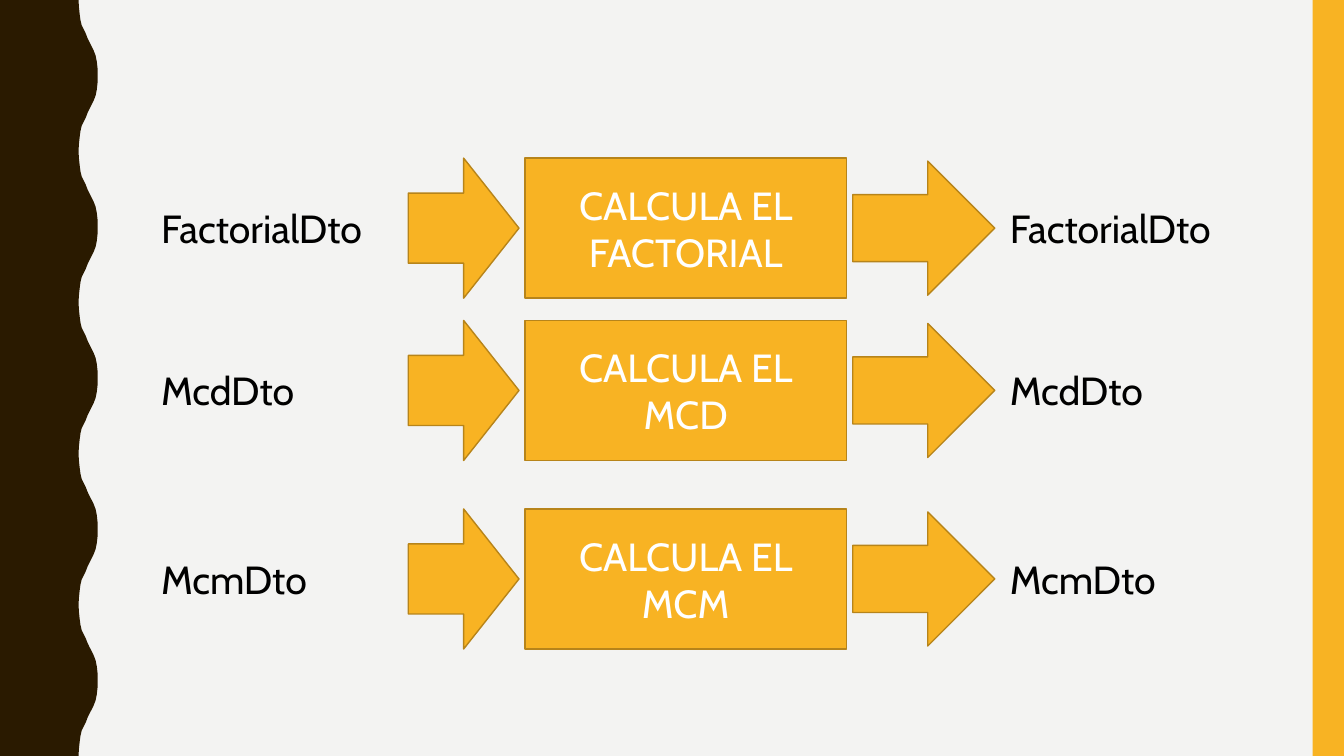
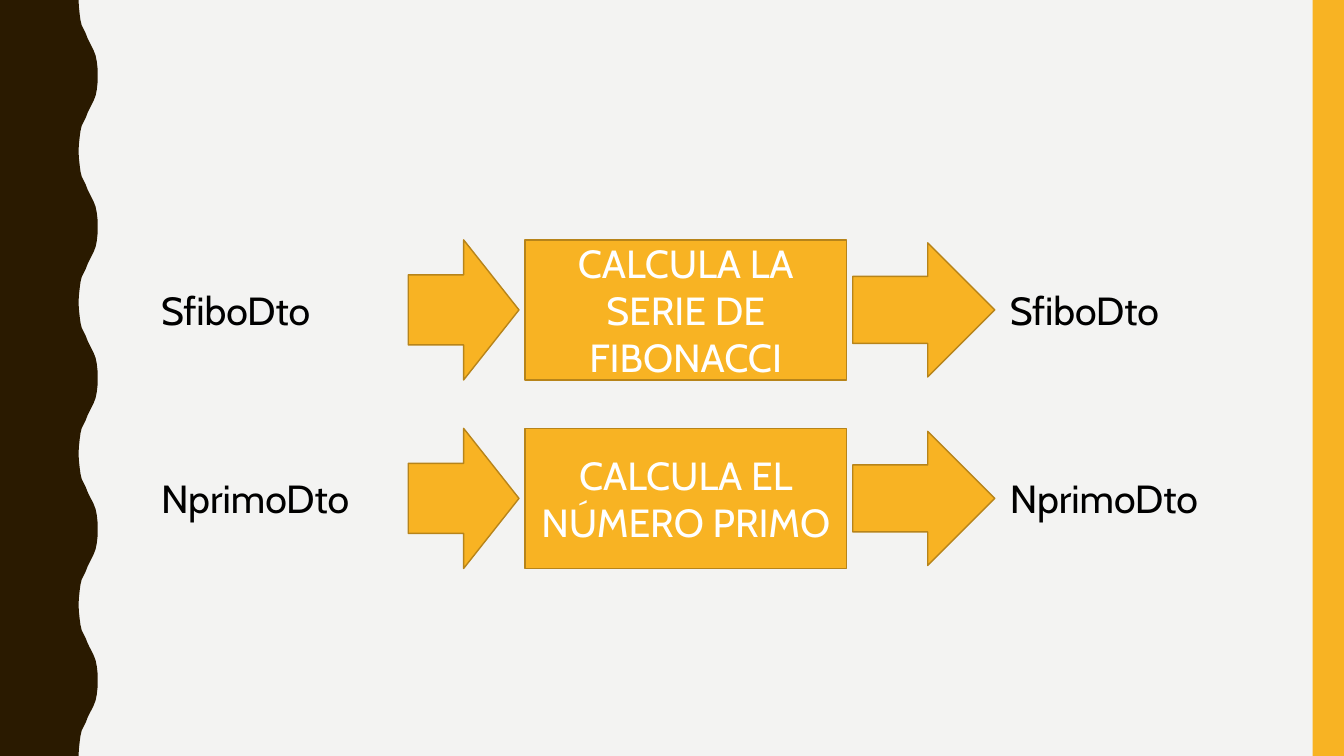
from dataclasses import dataclass

from pptx import Presentation
from pptx.dml.color import RGBColor
from pptx.enum.shapes import MSO_SHAPE as Kind
from pptx.enum.text import MSO_ANCHOR as Anchor, MSO_AUTO_SIZE as Fit, PP_ALIGN as Align
from pptx.shapes.autoshape import Shape
from pptx.slide import Slide
from pptx.util import Cm, Pt

HUES = {
    "paper": "F3F3F2",
    "dark": "2A1A00",
    "gold": "F8B323",
    "edge": "B7841A",
    "black": "000000",
    "white": "FFFFFF",
}
FONT = "Cabin"
WIDE, HIGH = 33.87, 19.05
BAND = 0.79
WAVES = 5
PITCH = HIGH / WAVES
CREST = (2.46, PITCH / 2)
CURVE = [
    (1.98, 0), (1.99, 0.18), (2.01, 0.36), (2.03, 0.51), (2.06, 0.64),
    (2.11, 0.74), (2.16, 0.84), (2.21, 0.97), (2.26, 1.07), (2.31, 1.17),
    (2.36, 1.27), (2.41, 1.4), (2.44, 1.55), (2.46, 1.73),
]


@dataclass(frozen=True)
class Part:
    left: float
    width: float
    height: float

    def box(self, mid: float) -> tuple[Cm, Cm, Cm, Cm]:
        top = mid - self.height / 2
        return Cm(self.left), Cm(top), Cm(self.width), Cm(self.height)


@dataclass(frozen=True)
class Flow:
    name: str
    task: str
    mid: float


SOURCE = Part(3.81, 6.35, 1.45)
INPUT = Part(10.29, 2.79, 3.53)
TASK = Part(13.23, 8.1, 3.53)
OUTPUT = Part(21.49, 3.58, 3.38)
RESULT = Part(25.2, 6.35, 1.45)
STRIPE = Part(WIDE - BAND, BAND, HIGH)

PAGES = [
    [
        Flow("FactorialDto", "CALCULA EL FACTORIAL", 5.75),
        Flow("McdDto", "CALCULA EL MCD", 9.84),
        Flow("McmDto", "CALCULA EL MCM", 14.59),
    ],
    [
        Flow("SfiboDto", "CALCULA LA SERIE DE FIBONACCI", 7.81),
        Flow("NprimoDto", "CALCULA EL NÚMERO PRIMO", 12.56),
    ],
]


def color(name: str) -> RGBColor:
    return RGBColor.from_string(HUES[name])


def paint(shape: Shape, fill: str, line: str | None = None) -> None:
    shape.shadow.inherit = False
    shape.fill.solid()
    shape.fill.fore_color.rgb = color(fill)
    if line:
        shape.line.color.rgb = color(line)
        shape.line.width = Pt(1)
    else:
        shape.line.fill.background()


def write(shape: Shape, text: str, *, hue: str = "black", size: float = 28,
          align: Align = Align.LEFT, anchor: Anchor = Anchor.TOP,
          fit: Fit = Fit.NONE) -> None:
    frame = shape.text_frame
    frame.word_wrap = True
    frame.auto_size = fit
    frame.vertical_anchor = anchor
    para = frame.paragraphs[0]
    para.alignment = align
    run = para.add_run()
    run.text = text
    run.font.name = FONT
    run.font.size = Pt(size)
    run.font.color.rgb = color(hue)


def block(slide: Slide, kind: Kind, part: Part, mid: float,
          line: str | None = "edge") -> Shape:
    shape = slide.shapes.add_shape(kind, *part.box(mid))
    paint(shape, "gold", line)
    return shape


def label(slide: Slide, part: Part, flow: Flow) -> None:
    box = slide.shapes.add_textbox(*part.box(flow.mid))
    write(box, flow.name, fit=Fit.SHAPE_TO_FIT_TEXT)


def frame_page(slide: Slide) -> None:
    back = [(x, PITCH - y) for x, y in reversed(CURVE[1:])]
    wave = [*CURVE, CREST, *back]
    side = [(x, y + turn * PITCH) for turn in range(WAVES) for x, y in wave]
    points = [*side, (CURVE[0][0], HIGH), (0, HIGH)]
    build = slide.shapes.build_freeform(0, 0)
    build.add_line_segments([(Cm(x), Cm(y)) for x, y in points], close=True)
    paint(build.convert_to_shape(), "dark")
    block(slide, Kind.RECTANGLE, STRIPE, HIGH / 2, line=None)


def draw_flow(slide: Slide, flow: Flow) -> None:
    label(slide, SOURCE, flow)
    block(slide, Kind.RIGHT_ARROW, INPUT, flow.mid)
    task = block(slide, Kind.RECTANGLE, TASK, flow.mid)
    write(task, flow.task, hue="white", align=Align.CENTER, anchor=Anchor.MIDDLE)
    block(slide, Kind.RIGHT_ARROW, OUTPUT, flow.mid)
    label(slide, RESULT, flow)


def main() -> None:
    deck = Presentation()
    deck.slide_width, deck.slide_height = Cm(WIDE), Cm(HIGH)
    fill = deck.slide_master.background.fill
    fill.solid()
    fill.fore_color.rgb = color("paper")
    blank = deck.slide_layouts[6]
    for flows in PAGES:
        slide = deck.slides.add_slide(blank)
        frame_page(slide)
        for flow in flows:
            draw_flow(slide, flow)
    deck.save("out.pptx")


main()
